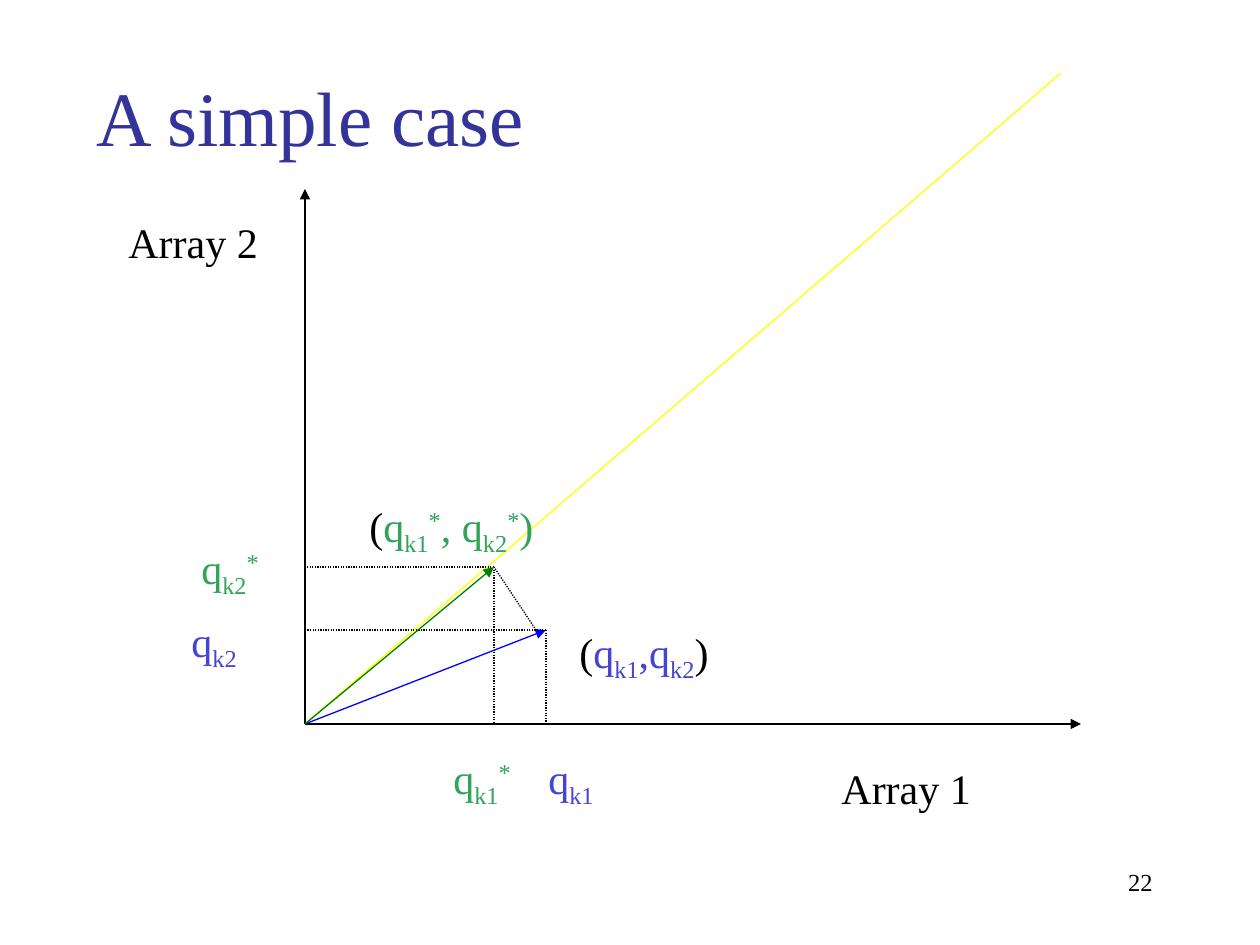
import pptx
import pptx.dml.color
import pptx.enum.dml
import pptx.enum.shapes
import pptx.enum.text
import pptx.oxml.ns
import pptx.util
from lxml import etree

PX = 914400 / 126
FONT = "Times New Roman"
BLACK, NAVY, BLUE, GREEN = "000000", "333399", "4545D1", "31A35A"
SUB, SUPER = -25, 30

ORIGIN = (305, 724)
POINT = (546, 630)
PROJECTED = (494, 567)

# start, end, colour, style
LINES = [
    (ORIGIN, (1081, ORIGIN[1]), BLACK, "arrow"),
    (ORIGIN, (1061, 73), "FFFF00", "plain"),
    (ORIGIN, POINT, "0000FF", "arrow"),
    (ORIGIN, (ORIGIN[0], 189), BLACK, "arrow"),
    ((536, 630), PROJECTED, BLACK, "dotted"),
]
for x, y in (POINT, PROJECTED):
    LINES += [
        ((x, y), (x, ORIGIN[1]), BLACK, "dotted"),
        ((x, y), (ORIGIN[0], y), BLACK, "dotted"),
    ]
LINES.append((ORIGIN, PROJECTED, "008000", "arrow"))


def q(index, colour):
    return [("q", colour, 0), (index, colour, SUB)]


def q_star(index):
    return q(index, GREEN) + [("*", GREEN, SUPER)]


# left, top, width, height, spans of (text, colour, baseline)
LABELS = [
    (179, 609, 95, 71, q("k2", BLUE)),
    (567, 620, 168, 71, [("(", BLACK, 0), *q("k1", BLUE), (",", BLUE, 0),
                         *q("k2", BLUE), (")", BLACK, 0)]),
    (357, 494, 242, 71, [("(", BLACK, 0), *q_star("k1"), (", ", GREEN, 0),
                         *q_star("k2"), (")", GREEN, 0)]),
    (536, 746, 136, 71, q("k1", BLUE)),
    (441, 746, 136, 71, q_star("k1")),
    (189, 536, 136, 71, q_star("k2")),
    (829, 756, 168, 63, [("Array 1", BLACK, 0)]),
    (116, 210, 168, 63, [("Array 2", BLACK, 0)]),
]


def emu(px):
    return pptx.util.Emu(round(px * PX))


def rgb(value):
    return pptx.dml.color.RGBColor.from_string(value)


def style_font(font, size, colour):
    font.name = FONT
    font.size = pptx.util.Pt(size)
    font.color.rgb = rgb(colour)


def add_line(page, start, end, colour, style):
    line = page.shapes.add_connector(
        pptx.enum.shapes.MSO_CONNECTOR.STRAIGHT, *map(emu, start + end))
    line.line.color.rgb = rgb(colour)
    line.line.width = pptx.util.Pt(0.75)
    if style == "dotted":
        line.line.dash_style = pptx.enum.dml.MSO_LINE.ROUND_DOT
    if style == "arrow":
        etree.SubElement(line.line._get_or_add_ln(),
                         pptx.oxml.ns.qn("a:tailEnd"), type="triangle")
    etree.SubElement(line._element.spPr, pptx.oxml.ns.qn("a:effectLst"))


def add_label(page, left, top, width, height, spans, size=24):
    box = page.shapes.add_textbox(*map(emu, (left, top, width, height)))
    box.text_frame.word_wrap = True
    para = box.text_frame.paragraphs[0]
    for text, colour, baseline in spans:
        span = para.add_run()
        span.text = text
        style_font(span.font, size, colour)
        if baseline:
            span.font._element.set("baseline", str(baseline * 1000))
    return para


def main():
    deck = pptx.Presentation()
    deck.slide_width, deck.slide_height = emu(1260), emu(945)
    page = deck.slides.add_slide(deck.slide_layouts[5])

    title = page.shapes.title
    title.left, title.top, title.width, title.height = map(emu, (84, 53, 1071, 126))
    title.text_frame.text = "A simple case"
    title.text_frame.vertical_anchor = pptx.enum.text.MSO_ANCHOR.MIDDLE
    heading = title.text_frame.paragraphs[0]
    heading.alignment = pptx.enum.text.PP_ALIGN.LEFT
    style_font(heading.runs[0].font, 44, NAVY)

    for line in LINES:
        add_line(page, *line)
    for label in LABELS:
        add_label(page, *label)
    number = add_label(page, 903, 861, 262, 63, [("22", BLACK, 0)], size=14)
    number.alignment = pptx.enum.text.PP_ALIGN.RIGHT

    deck.save("out.pptx")


if __name__ == "__main__":
    main()
